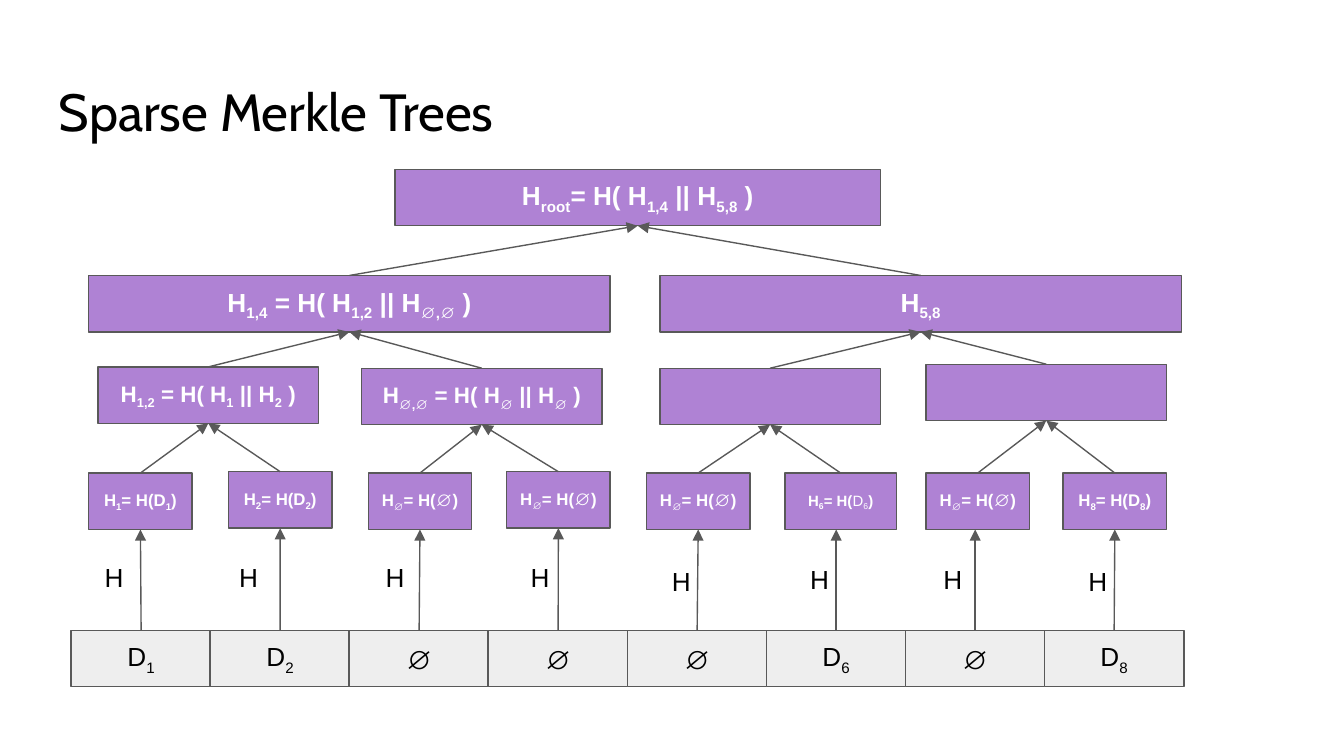
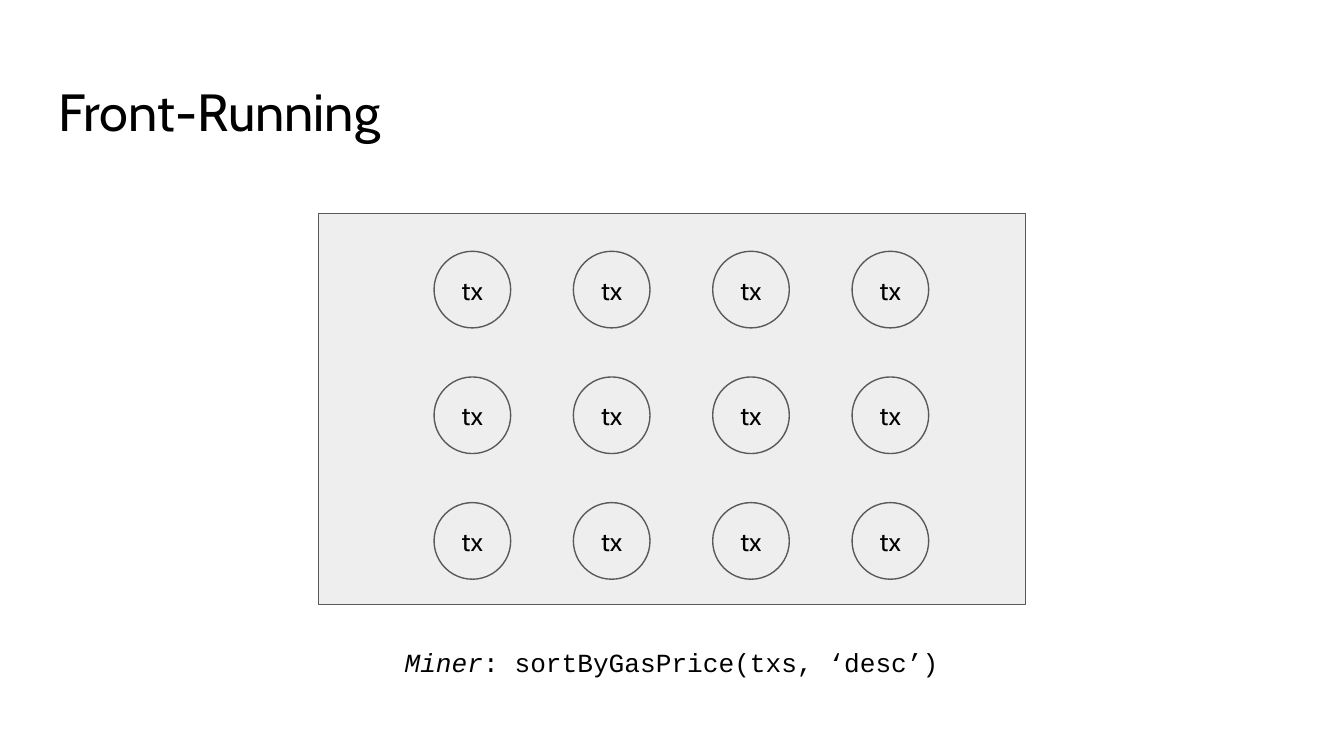
from dataclasses import dataclass
from itertools import product
from typing import Any, NamedTuple

import pptx
import pptx.dml.color
import pptx.enum.shapes
import pptx.enum.text
import pptx.oxml.ns
import pptx.util
from lxml import etree
from pptx.util import Inches

SHAPE = pptx.enum.shapes.MSO_SHAPE
ANCHOR = pptx.enum.text.MSO_ANCHOR
ALIGN = pptx.enum.text.PP_ALIGN
TOP, BOTTOM = 0, 2


@dataclass(frozen=True)
class Theme:
    ink: str = "000000"
    white: str = "FFFFFF"
    grey: str = "EEEEEE"
    purple: str = "AF82D4"
    line: str = "595959"
    line_width: float = 0.75
    title_font: str = "Cabin"
    body_font: str = "Arial"
    code_font: str = "Courier New"
    title_size: float = 28
    body_size: float = 14
    inner_size: float = 12
    leaf_size: float = 9
    small_leaf_size: float = 8


THEME = Theme()


class TextStyle(NamedTuple):
    font: str = THEME.body_font
    size: float = THEME.body_size
    color: str = THEME.ink
    bold: bool = False
    align: Any = ALIGN.CENTER
    anchor: Any = ANCHOR.MIDDLE


class Box(NamedTuple):
    left: float
    top: float
    width: float
    height: float = 0.42


class Node(NamedTuple):
    label: str
    box: Box
    size: float


PLAIN = TextStyle()
TITLE = TextStyle(THEME.title_font, THEME.title_size, align=ALIGN.LEFT, anchor=ANCHOR.TOP)
HASH_MARK = TextStyle(align=ALIGN.LEFT, anchor=ANCHOR.TOP)
TX = TextStyle(THEME.title_font)
CODE = TextStyle(THEME.code_font)

EMPTY_LEAF = "H{∅}= H(∅)"
DATA = ("D{1}", "D{2}", "∅", "∅", "∅", "D{6}", "∅", "D{8}")
HASH_MARKS = ((0.68, 4.08), (1.68, 4.08), (2.77, 4.08), (3.85, 4.08),
              (4.9, 4.11), (5.93, 4.09), (6.92, 4.09), (8, 4.11))

# Levels run from the leaves to the root; each pair of nodes feeds one node above.
LEVELS = (
    (
        Node("H{1}= H(D{1})", Box(0.66, 3.52, 0.77), THEME.leaf_size),
        Node("H{2}= H(D{2})", Box(1.7, 3.51, 0.77), THEME.leaf_size),
        Node(EMPTY_LEAF, Box(2.74, 3.52, 0.77), THEME.leaf_size),
        Node(EMPTY_LEAF, Box(3.77, 3.51, 0.77), THEME.leaf_size),
        Node(EMPTY_LEAF, Box(4.81, 3.52, 0.77), THEME.leaf_size),
        Node("H{6}= H(~D{6}~)", Box(5.84, 3.52, 0.83), THEME.small_leaf_size),
        Node(EMPTY_LEAF, Box(6.89, 3.52, 0.77), THEME.leaf_size),
        Node("H{8}= H(D{8})", Box(7.91, 3.52, 0.77), THEME.leaf_size),
    ),
    (
        Node("H{1,2} = H( H{1} || H{2} )", Box(0.73, 2.73, 1.64), THEME.inner_size),
        Node("H{∅,∅} = H( H{∅} || H{∅} )", Box(2.69, 2.74, 1.79), THEME.inner_size),
        Node("", Box(4.91, 2.74, 1.64), THEME.inner_size),
        Node("", Box(6.89, 2.71, 1.79), THEME.inner_size),
    ),
    (
        Node("H{1,4} = H( H{1,2} || H{∅,∅} )", Box(0.66, 2.05, 3.88), THEME.body_size),
        Node("H{5,8}", Box(4.91, 2.05, 3.88), THEME.body_size),
    ),
    (
        Node("H{root}= H( H{1,4} || H{5,8} )", Box(2.94, 1.26, 3.61), THEME.body_size),
    ),
)


def rgb(value: str) -> pptx.dml.color.RGBColor:
    return pptx.dml.color.RGBColor.from_string(value)


def set_attributes(target: Any, values: dict[str, Any]) -> None:
    for name, value in values.items():
        setattr(target, name, value)


def write(sp: Any, text: str, style: TextStyle, toggle: str = "bold") -> None:
    """Fill a shape with text: {..} is subscript, ~..~ flips the toggle attribute."""
    tf = sp.text_frame
    margins = {f"margin_{side}": Inches(0.1) for side in ("left", "right", "top", "bottom")}
    set_attributes(tf, {"word_wrap": True, "vertical_anchor": style.anchor, **margins})
    p = tf.paragraphs[0]
    p.alignment = style.align
    font = {"name": style.font, "size": pptx.util.Pt(style.size),
            "bold": style.bold, "italic": False}
    for i, part in enumerate(text.split("~")):
        values = {**font, toggle: font[toggle] ^ bool(i % 2)}
        for j, piece in enumerate(part.replace("}", "{").split("{")):
            if not piece:
                continue
            r = p.add_run()
            r.text = piece
            set_attributes(r.font, values)
            r.font.color.rgb = rgb(style.color)
            if j % 2:
                r._r.get_or_add_rPr().set("baseline", "-25000")


def add_text(shapes: Any, box: Box, text: str, style: TextStyle, toggle: str = "bold") -> None:
    write(shapes.add_textbox(*map(Inches, box)), text, style, toggle)


def add_box(shapes: Any, box: Box, fill: str, text: str = "",
            style: TextStyle = PLAIN, kind: Any = SHAPE.RECTANGLE) -> Any:
    sp = shapes.add_shape(kind, *map(Inches, box))
    sp.shadow.inherit = False
    sp.fill.solid()
    sp.fill.fore_color.rgb = rgb(fill)
    sp.line.color.rgb = rgb(THEME.line)
    sp.line.width = pptx.util.Pt(THEME.line_width)
    write(sp, text, style)
    return sp


def add_arrow(shapes: Any, child: Any, parent: Any, upright: bool = False) -> None:
    """Point from a child's top to its parent's bottom.

    An upright arrow stays vertical when the parent is off centre.
    """
    x, y = child.left + child.width // 2, parent.top + parent.height
    offset = abs(x - parent.left - parent.width // 2)
    cx = shapes.add_connector(pptx.enum.shapes.MSO_CONNECTOR.STRAIGHT, x, child.top, x, y)
    cx.begin_connect(child, TOP)
    if not upright or offset < Inches(0.01):
        cx.end_connect(parent, BOTTOM)
    cx.line.color.rgb = rgb(THEME.line)
    cx.line.width = pptx.util.Pt(THEME.line_width)
    qn = pptx.oxml.ns.qn
    etree.SubElement(cx.line._get_or_add_ln(), qn("a:tailEnd"), type="triangle")
    etree.SubElement(cx._element.spPr, qn("a:effectLst"))


def add_slide(prs: Any, title: str) -> Any:
    s = prs.slides.add_slide(prs.slide_layouts[6])
    s.background.fill.solid()
    s.background.fill.fore_color.rgb = rgb(THEME.white)
    add_text(s.shapes, Box(0.34, 0.49, 9.32, 0.63), title, TITLE)
    return s


def build_merkle_tree(prs: Any) -> None:
    shapes = add_slide(prs, "Sparse Merkle Trees").shapes
    cells = [add_box(shapes, Box(0.53 + 7.24 * i / 7, 4.69, 1.04), THEME.grey, label)
             for i, label in enumerate(DATA)]
    levels = [
        [add_box(shapes, node.box, THEME.purple, node.label,
                 TextStyle(size=node.size, color=THEME.white, bold=True)) for node in level]
        for level in LEVELS
    ]
    for cell, leaf in zip(cells, levels[0]):
        add_arrow(shapes, cell, leaf, upright=True)
    for children, parents in zip(levels, levels[1:]):
        for i, child in enumerate(children):
            add_arrow(shapes, child, parents[i // 2])
    for left, top in HASH_MARKS:
        add_text(shapes, Box(left, top, 0.32), "H", HASH_MARK)


def build_front_running(prs: Any) -> None:
    shapes = add_slide(prs, "Front-Running").shapes.add_group_shape().shapes
    add_box(shapes, Box(2.37, 1.59, 5.26, 2.91), THEME.grey)
    add_text(shapes, Box(2.37, 4.68, 5.26, 0.5),
             "~Miner~: sortByGasPrice(txs, ‘desc’)", CODE, toggle="italic")
    for row, column in product(range(3), range(4)):
        circle = Box(3.23 + 3.11 * column / 3, 1.87 + 1.87 * row / 2, 0.57, 0.57)
        add_box(shapes, circle, THEME.grey, "tx", TX, SHAPE.OVAL)


def main() -> None:
    prs = pptx.Presentation()
    width = Inches(10)
    set_attributes(prs, {"slide_width": width, "slide_height": width * 9 // 16})
    build_merkle_tree(prs)
    build_front_running(prs)
    prs.save("out.pptx")


if __name__ == "__main__":
    main()
